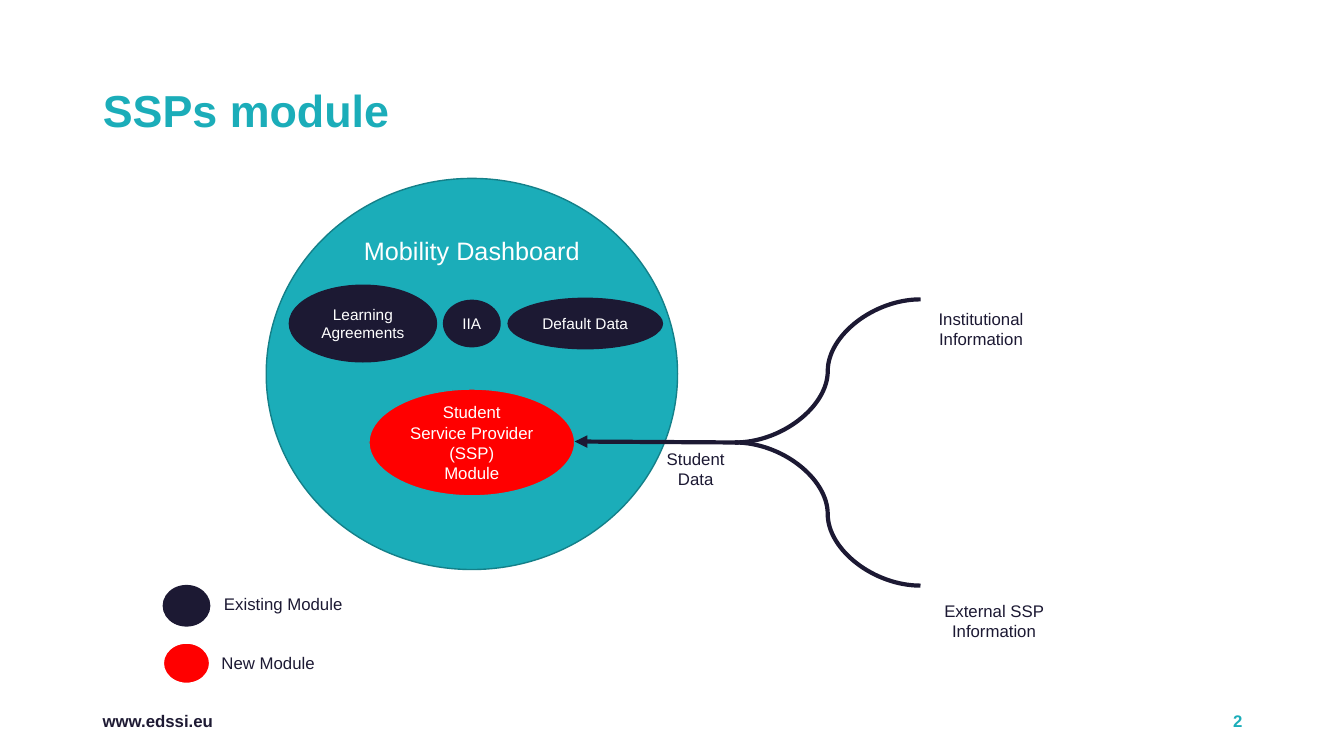
from pptx import Presentation
from pptx.dml.color import RGBColor
from pptx.enum import shapes, text
from pptx.oxml.ns import qn
from pptx.util import Inches, Pt
from lxml import etree

TEAL, NAVY, RED, WHITE = "1BADB9", "1C1933", "FF0000", "FFFFFF"
LEFT, CENTER, RIGHT = text.PP_ALIGN.LEFT, text.PP_ALIGN.CENTER, text.PP_ALIGN.RIGHT


def color(hex_code):
    """Turn a hex string into a colour."""
    return RGBColor.from_string(hex_code)


def write(tf, lines, size, ink, align=CENTER, bold=False):
    """Write one paragraph per line; a newline inside a line is a soft break."""
    tf.word_wrap = True
    for i, line in enumerate(lines):
        p = tf.paragraphs[0] if i == 0 else tf.add_paragraph()
        p.alignment = align
        for j, part in enumerate(line.split("\n")):
            if j:
                p.add_line_break()
            r = p.add_run()
            r.text = part
            r.font.name, r.font.size, r.font.bold = "Arial", Pt(size), bold
            r.font.color.rgb = color(ink)


def add_label(s, x, y, w, h, lines, size=12, ink=NAVY):
    """Add a centred text box that grows with its text."""
    tf = s.shapes.add_textbox(Inches(x), Inches(y), Inches(w), Inches(h)).text_frame
    write(tf, lines, size, ink)
    tf.auto_size = text.MSO_AUTO_SIZE.SHAPE_TO_FIT_TEXT


def add_oval(s, x, y, w, h, fill, line, lines=(), size=11):
    """Add an ellipse with optional white text."""
    sp = s.shapes.add_shape(shapes.MSO_SHAPE.OVAL, Inches(x), Inches(y), Inches(w), Inches(h))
    sp.shadow.inherit = False
    sp.fill.solid()
    sp.fill.fore_color.rgb = color(fill)
    sp.line.color.rgb = color(line)
    sp.line.width = Pt(1)
    tf = sp.text_frame
    tf.margin_left = tf.margin_right = tf.margin_top = tf.margin_bottom = 0
    tf.vertical_anchor = text.MSO_ANCHOR.MIDDLE
    write(tf, lines, size, WHITE)


def add_link(s, kind, x1, y1, x2, y2, arrow=False):
    """Add a thick navy connector, with an arrowhead at its end if asked."""
    c = s.shapes.add_connector(kind, Inches(x1), Inches(y1), Inches(x2), Inches(y2))
    c.line.color.rgb = color(NAVY)
    c.line.width = Pt(3)
    if arrow:
        etree.SubElement(c.line._get_or_add_ln(), qn("a:tailEnd"), type="triangle")
    etree.SubElement(c._element.spPr, qn("a:effectLst"))


def add_title(s, x, y, w, h):
    """Fill and place the title placeholder."""
    sp = s.shapes.title
    sp.left, sp.top, sp.width, sp.height = (Inches(v) for v in (x, y, w, h))
    sp.text_frame.vertical_anchor = text.MSO_ANCHOR.MIDDLE
    write(sp.text_frame, ["SSPs module"], 32, TEAL, LEFT, True)
    sp.text_frame.paragraphs[0].line_spacing = 0.9


def add_footer(s, x, y, w, h):
    """Put the web address at the left and the page number at the right."""
    for dx, width, words, ink, align in (
        (0, 4.5, "www.edssi.eu", "1E1A33", LEFT),
        (w - 3, 3, "2", TEAL, RIGHT),
    ):
        tf = s.shapes.add_textbox(Inches(x + dx), Inches(y), Inches(width), Inches(h)).text_frame
        tf.vertical_anchor = text.MSO_ANCHOR.MIDDLE
        write(tf, [words], 12, ink, align, True)


def add_dashboard(s, x, y, w, h):
    """Draw the dashboard circle with its modules."""
    add_oval(s, x, y, w, h, TEAL, "148089")
    mid = y + 1.44
    for dx, mw, mh, words in (
        (0.23, 1.46, 0.76, "Learning\nAgreements"),
        (1.76, 0.56, 0.46, "IIA"),
        (2.4, 1.53, 0.5, "Default Data"),
    ):
        add_oval(s, x + dx, mid - mh / 2, mw, mh, NAVY, NAVY, [words])
    add_oval(s, x + w / 2 - 1.02, y + 2.09, 2.04, 1.06, RED, TEAL,
             ["Student", "Service Provider (SSP)", "Module"], 12)
    add_label(s, x + w / 2 - 1.3, y + 0.52, 2.6, 0.4, ["Mobility Dashboard"], 18, WHITE)


def add_data_flow(s, x, y, w, h):
    """Merge the two information sources into the arrow to the new module."""
    mid, fork, end = y + h / 2, x + 1.59, x + w
    curve = shapes.MSO_CONNECTOR.CURVE
    add_link(s, shapes.MSO_CONNECTOR.STRAIGHT, fork + 0.03, mid, x, mid - 0.01, True)
    add_link(s, curve, fork, mid, end, y)
    add_link(s, curve, end, y + h, fork, mid)
    add_label(s, x + 0.56, mid + 0.01, 1.28, 0.5, ["Student", "Data"])
    add_label(s, end - 0.04, y + 0.04, 1.28, 0.5, ["Institutional Information"])
    add_label(s, end, y + h + 0.1, 1.46, 0.5, ["External SSP Information"])


def add_legend(s, x, y):
    """Explain the module colours."""
    for i, (fill, line, dx, dy, words) in enumerate((
        (NAVY, NAVY, 0.46, 0.03, "Existing Module"),
        (RED, WHITE, 0.31, 0.05, "New Module"),
    )):
        top = y + i * 0.57
        add_oval(s, x, top, 0.46, 0.4, fill, line)
        add_label(s, x + dx, top + dy, 1.46, 0.3, [words])


def main():
    """Build and save the slide."""
    prs = Presentation()
    prs.slide_width, prs.slide_height = Inches(13.33), Inches(7.5)
    s = prs.slides.add_slide(prs.slide_layouts[5])
    add_title(s, 0.92, 0.4, 8.5, 1.45)
    add_footer(s, 0.92, 6.95, 11.5, 0.4)
    add_dashboard(s, 2.64, 1.77, 4.08, 3.88)
    add_data_flow(s, 5.7, 2.97, 3.43, 2.84)
    add_legend(s, 1.62, 5.81)
    prs.save("out.pptx")


if __name__ == "__main__":
    main()
